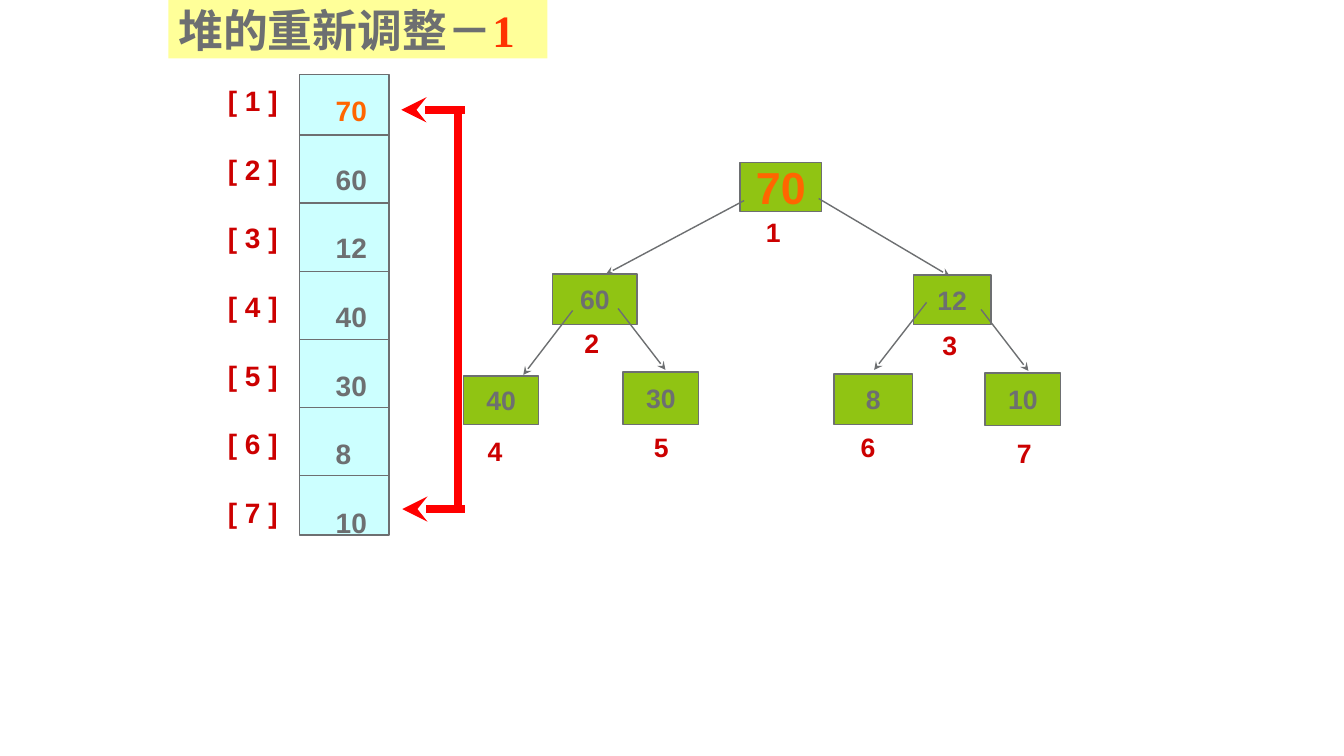
from lxml import etree
from pptx import Presentation
from pptx.dml.color import RGBColor
from pptx.enum.shapes import MSO_CONNECTOR, MSO_SHAPE
from pptx.enum.text import MSO_ANCHOR, PP_ALIGN
from pptx.oxml.ns import qn
from pptx.util import Inches, Pt

RECT, STRAIGHT = MSO_SHAPE.RECTANGLE, MSO_CONNECTOR.STRAIGHT
MIDDLE, TOP = MSO_ANCHOR.MIDDLE, MSO_ANCHOR.TOP
CENTER, LEFT = PP_ALIGN.CENTER, PP_ALIGN.LEFT

THEME = {
    "grey": "6D6F71", "green": "90C413", "cyan": "CCFFFF", "yellow": "FFFF99",
    "orange": "FF6600", "index": "CC0000", "red": "FF0000", "title_number": "FF3300",
    "body": "Arial", "heading": "Times New Roman",
    "big": 32, "cell": 20, "node": 19, "thin": 1, "thick": 6,
}

prs = Presentation()
prs.slide_width, prs.slide_height = Inches(13.33), Inches(7.5)
slide = prs.slides.add_slide(prs.slide_layouts[6])


def write(holder, paragraphs, size, font="body", align=CENTER, anchor=MIDDLE, inset=0, gap=0):
    """Fill a shape with paragraphs, each a list of (text, colour) runs."""
    frame = holder.text_frame
    layout = {"word_wrap": False, "vertical_anchor": anchor, "margin_left": Inches(inset),
              "margin_right": 0, "margin_top": 0, "margin_bottom": 0}
    for key, value in layout.items():
        setattr(frame, key, value)
    for number, runs in enumerate(paragraphs):
        paragraph = frame.add_paragraph() if number else frame.paragraphs[0]
        paragraph.alignment = align
        paragraph.space_before = Pt(gap if number else 0)
        for text, colour in runs:
            run = paragraph.add_run()
            run.text = text
            for key, value in {"name": THEME[font], "size": Pt(THEME[size]), "bold": True}.items():
                setattr(run.font, key, value)
            run.font.color.rgb = RGBColor.from_string(THEME[colour])


def connect(start, end, colour="grey", weight="thin", arrow=True):
    """Draw a straight line, with a stealth arrowhead at its end if wanted."""
    link = slide.shapes.add_connector(STRAIGHT, *map(Inches, start + end))
    link.line.color.rgb = RGBColor.from_string(THEME[colour])
    link.line.width = Pt(THEME[weight])
    if arrow:
        etree.SubElement(link.line._get_or_add_ln(), qn("a:tailEnd"), type="stealth")
    etree.SubElement(link._element.spPr, qn("a:effectLst"))


# Filled areas: title band, array column and heap nodes
NODES = [  # value, left, top, width, height, centre of the index below
    ("70", 7.34, 1.61, 0.81, 0.49, 7.67, 2.3),
    ("60", 5.48, 2.72, 0.84, 0.5, 5.87, 3.4),
    ("12", 9.06, 2.73, 0.77, 0.49, 9.42, 3.42),
    ("40", 4.6, 3.73, 0.74, 0.48, 4.91, 4.47),
    ("30", 6.18, 3.69, 0.75, 0.52, 6.56, 4.43),
    ("8", 8.27, 3.71, 0.78, 0.5, 8.61, 4.43),
    ("10", 9.77, 3.7, 0.75, 0.52, 10.16, 4.49),
]
column_left, column_top, column_width, column_height = 2.97, 0.74, 0.89, 4.57
areas = [("yellow", 1.67, 0, 3.76, 0.58),
         ("cyan", column_left, column_top, column_width, column_height)]
areas += [("green", *node[1:5]) for node in NODES]
panels = []
for fill, *box in areas:
    panel = slide.shapes.add_shape(RECT, *map(Inches, box))
    panel.shadow.inherit = False
    panel.fill.solid()
    panel.fill.fore_color.rgb = RGBColor.from_string(THEME[fill])
    if fill == "yellow":
        panel.line.fill.background()
    else:
        panel.line.color.rgb = RGBColor.from_string(THEME["grey"])
        panel.line.width = Pt(THEME["thin"])
    panels.append(panel)
title, _, *heap = panels

write(title, [[("堆的重新调整－", "grey"), ("1", "title_number")]],
      "big", "heading", LEFT, inset=0.1)

# Heap values and their indexes; the root stands out
for index, (node, (value, *_, x, y)) in enumerate(zip(heap, NODES), 1):
    root = index == 1
    write(node, [[(value, "orange" if root else "grey")]], "big" if root else "node")
    label = slide.shapes.add_textbox(*map(Inches, (x - 0.2, y - 0.17, 0.4, 0.34)))
    write(label, [[(str(index), "index")]], "node")

# Links from parent to child
for start, end in [
    ((7.38, 1.99), (6.01, 2.72)), ((8.12, 1.97), (9.42, 2.74)),
    ((5.68, 3.08), (5.19, 3.72)), ((6.13, 3.06), (6.6, 3.67)),
    ((9.19, 3), (8.67, 3.67)), ((9.73, 3.07), (10.2, 3.68)),
]:
    connect(start, end)

# Array dividers, labels and values
for row in range(len(NODES) - 1):
    y = 1.34 + row * 0.676
    connect((column_left, y), (column_left + column_width, y), arrow=False)

labels = [[(f"[ {index} ]", "index")] for index in range(1, len(NODES) + 1)]
values = [[(node[0], "grey" if row else "orange")] for row, node in enumerate(NODES)]
for left, top, width, lines in [(2.26, 0.83, 0.6, labels), (3.33, 0.93, 0.4, values)]:
    box = slide.shapes.add_textbox(*map(Inches, (left, top, width, 4.35)))
    write(box, lines, "cell", align=LEFT, anchor=TOP, gap=25)

# Swap bracket between the first and last cells
connect((4.54, 1.13), (4.54, 5.04), "red", "thick", arrow=False)
for tip, y in [(3.98, 1.09), (3.99, 5.05)]:
    connect((4.61, y), (tip, y), "red", "thick")

prs.save("out.pptx")
